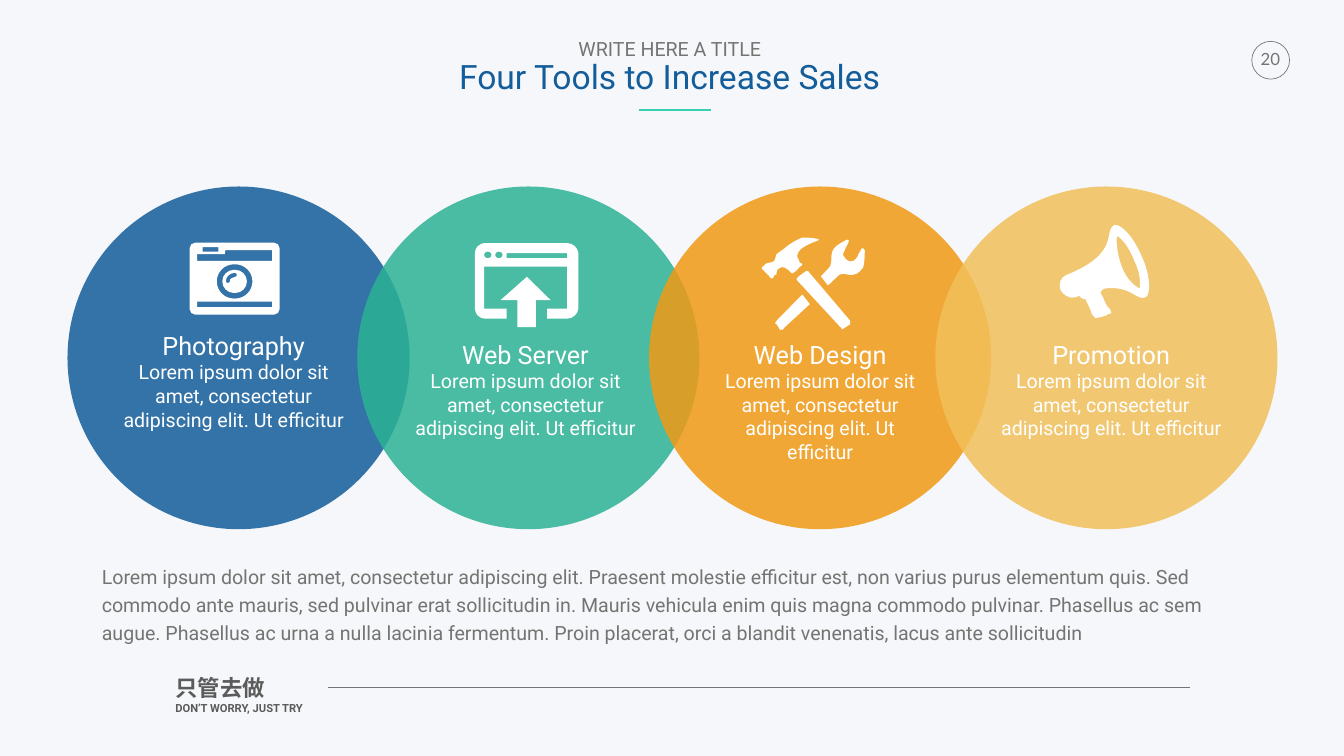
from lxml.etree import SubElement
from pptx import Presentation
from pptx.dml.color import RGBColor
from pptx.enum.shapes import MSO_CONNECTOR, MSO_SHAPE
from pptx.enum.text import MSO_AUTO_SIZE, PP_ALIGN
from pptx.oxml.ns import qn
from pptx.util import Inches, Pt

C = {"bg": "F6F7FA", "grey": "737572", "dark": "5B5B5B", "white": "FFFFFF", "mint": "33D1AD",
     "blue": "135D9A", "green": "2BB294", "orange": "F19A14", "yellow": "F1C05A"}
W, H = Inches(26.67), Inches(15)
PAGE = (0, 0, W, H)
FINE = 10
BLURB = "Lorem ipsum dolor sit amet, consectetur adipiscing elit. Ut efficitur"
BODY = ("Lorem ipsum dolor sit amet, consectetur adipiscing elit. Praesent molestie efficitur est, "
        "non varius purus elementum quis. Sed commodo ante mauris, sed pulvinar erat sollicitudin in. "
        "Mauris vehicula enim quis magna commodo pulvinar. Phasellus ac sem augue. Phasellus ac urna a "
        "nulla lacinia fermentum. Proin placerat, orci a blandit venenatis, lacus ante sollicitudin")


def part(box, x, y, w, h):
    """Return the part of a box given in percent of its size."""
    left, top, width, height = box
    return (round(left + width * x / 100), round(top + height * y / 100),
            round(width * w / 100), round(height * h / 100))


def rgb(name):
    """Return a palette colour."""
    return RGBColor.from_string(C[name])


def rounded(l, t, r, b, rad=0):
    """Return the outline of a rectangle with rounded corners."""
    if not rad:
        return [(l, t), (r, t), (r, b), (l, b)]
    k = rad * 0.45
    return [(l + rad, t), (r - rad, t), (r - k, t, r, t + k, r, t + rad),
            (r, b - rad), (r, b - k, r - k, b, r - rad, b),
            (l + rad, b), (l + k, b, l, b - k, l, b - rad),
            (l, t + rad), (l, t + k, l + k, t, l + rad, t)]


CAMERA = (179, [
    rounded(0, 0, 179, 143, 11),
    [(164, 15), (71, 15), (70, 23), (15, 23), (15, 36), (164, 36)],
    rounded(15, 117, 164, 128), rounded(26, 9, 57, 18),
    rounded(54, 43, 125, 111, 34), rounded(65, 54, 114, 100, 23),
    [(80, 77), (80, 74, 81, 72, 83, 71), (85, 69, 87, 68, 90, 68), (92, 68, 94, 67, 94, 64),
     (94, 61, 92, 60, 90, 60), (85, 60, 81, 62, 77, 65), (74, 68, 72, 72, 72, 77),
     (72, 81, 80, 81, 80, 77)]])
SERVER = (205, [
    [(183, 0), (22, 0), (7, 0, 0, 10, 0, 20), (0, 130), (0, 140, 7, 150, 22, 150), (63, 150),
     (63, 130), (18, 130), (18, 47), (183, 47), (183, 130), (143, 130), (143, 150), (183, 150),
     (194, 150, 205, 140, 205, 130), (205, 20), (205, 10, 194, 0, 183, 0)],
    rounded(18, 17, 33, 30, 6.5), rounded(40, 17, 55, 30, 6.5), rounded(63, 20, 183, 30),
    [(103, 67), (51, 113), (84, 113), (84, 167), (121, 167), (121, 113), (150, 113)]])
TOOLS = (205, [
    [(33, 62), (40, 55, 48, 59, 58, 70), (62, 73, 62, 70, 62, 70), (66, 70, 76, 55, 80, 55),
     (80, 52), (76, 52, 73, 48, 73, 44), (55, 19, 124, 4, 113, 4), (106, 0, 84, 0, 80, 0),
     (69, 4, 51, 15, 44, 22), (33, 30, 29, 33, 29, 33), (25, 37, 29, 44, 22, 48),
     (15, 52, 11, 48, 7, 52), (7, 55, 4, 55, 0, 59), (0, 62), (15, 77),
     (15, 81, 18, 81, 22, 81), (22, 77, 25, 73, 29, 73), (29, 73, 29, 62, 33, 62)],
    [(91, 66), (88, 66), (73, 77), (69, 81, 69, 81, 69, 84), (157, 179),
     (157, 183, 161, 183, 164, 179), (175, 172), (175, 168, 175, 165, 175, 165)],
    [(204, 26), (201, 19, 201, 22, 197, 22), (197, 26, 190, 33, 190, 37),
     (186, 44, 179, 52, 168, 44), (157, 33, 161, 30, 164, 26), (164, 22, 172, 12, 172, 8),
     (175, 8, 172, 4, 168, 4), (164, 8, 142, 15, 139, 30), (135, 40, 142, 52, 131, 62),
     (117, 77), (131, 95), (150, 77), (153, 73, 161, 70, 168, 73),
     (186, 77, 193, 70, 201, 59), (204, 48, 204, 30, 204, 26)],
    [(29, 165), (25, 168, 25, 172, 29, 172), (36, 183), (40, 183, 44, 183, 44, 179),
     (95, 132), (80, 113)]])
HORN = (177, [
    [(163, 62), (148, 26, 123, -4, 108, 0), (86, 11, 123, 55, 13, 99), (2, 103, -2, 117, 2, 128),
     (5, 136, 20, 147, 31, 143), (39, 140), (46, 150, 53, 143, 53, 150),
     (57, 158, 64, 172, 64, 176), (68, 180, 72, 187, 75, 183), (79, 183, 93, 180, 97, 176),
     (104, 176, 104, 172, 101, 169), (101, 165, 93, 161, 93, 158), (90, 154, 86, 140, 82, 136),
     (79, 132, 86, 125, 93, 125), (145, 121, 152, 150, 170, 143), (181, 140, 181, 99, 163, 62)],
    [(159, 125), (155, 125, 133, 110, 123, 81), (112, 51, 112, 22, 115, 22),
     (119, 22, 137, 40, 148, 70), (163, 99, 159, 121, 159, 125)]])
TOOL_CARDS = [
    (5.02, "blue", "Photography", (12.25, 40, 72.6, 33.5), CAMERA, (35.7, 16.4, 26.3, 21)),
    (26.58, "green", "Web Server", (12.85, 42.6, 72.6, 33.5), SERVER, (34.4, 16.5, 30.2, 24.6)),
    (48.29, "orange", "Web Design", (16.05, 42.6, 67.9, 33.5), TOOLS, (33, 14.9, 30.2, 26.9)),
    (69.59, "yellow", "Promotion", (15.1, 42.6, 72.6, 33.5), HORN, (36.3, 11.3, 26.1, 27.2))]


def text(s, box, lines, inset, align=PP_ALIGN.LEFT, spacing=None, wrap=True):
    """Add a text box with one paragraph for each (text, size, colour, font, bold)."""
    tf = s.shapes.add_textbox(*box).text_frame
    tf.word_wrap = wrap
    tf.auto_size = MSO_AUTO_SIZE.SHAPE_TO_FIT_TEXT
    tf.margin_left = tf.margin_right = tf.margin_top = tf.margin_bottom = Inches(inset)
    for i, (words, size, colour, font, bold) in enumerate(lines):
        p = tf.add_paragraph() if i else tf.paragraphs[0]
        p.alignment, p.line_spacing = align, spacing
        r = p.add_run()
        r.text = words
        r.font.size, r.font.name, r.font.bold = Pt(size), font, bold
        r.font.color.rgb = rgb(colour)


def rule(s, box, colour, width):
    """Add a horizontal line along the top of a box."""
    x, y, w, _ = box
    ln = s.shapes.add_connector(MSO_CONNECTOR.STRAIGHT, x, y, x + w, y)
    ln.line.color.rgb, ln.line.width = rgb(colour), Pt(width)
    SubElement(ln._element.spPr, qn("a:effectLst"))


def disc(s, box, colour):
    """Add a translucent circle."""
    sp = s.shapes.add_shape(MSO_SHAPE.OVAL, *box)
    sp.shadow.inherit = False
    sp.line.fill.background()
    sp.fill.solid()
    sp.fill.fore_color.rgb = rgb(colour)
    SubElement(sp._element.spPr.find(".//" + qn("a:srgbClr")), qn("a:alpha")).set("val", "85000")


def bend(sp, contours):
    """Turn the straight segments of a freeform into curves where six numbers are given."""
    steps = [step for contour in contours for step in contour]
    nodes = [n for n in sp._element.spPr.find(".//" + qn("a:path")) if n.tag != qn("a:close")]
    start = nodes[0][0]
    dx, dy = (int(start.get(k)) - v * FINE for k, v in zip("xy", steps[0]))
    for node, step in zip(nodes, steps):
        if len(step) == 6:
            curve = SubElement(node.getparent(), qn("a:cubicBezTo"))
            for x, y in (step[:2], step[2:4], step[4:]):
                pt = SubElement(curve, qn("a:pt"))
                pt.set("x", str(round(x * FINE + dx)))
                pt.set("y", str(round(y * FINE + dy)))
            node.getparent().replace(node, curve)


def icon(s, box, drawing):
    """Draw the contours of a white icon across a box."""
    columns, contours = drawing
    fb = None
    for contour in contours:
        pts = [(step[-2] * FINE, step[-1] * FINE) for step in contour]
        if fb is None:
            fb = s.shapes.build_freeform(*pts[0], scale=box[2] / columns / FINE)
        else:
            fb.move_to(*pts[0])
        fb.add_line_segments(pts[1:], close=True)
    sp = fb.convert_to_shape(box[0], box[1])
    bend(sp, contours)
    sp.shadow.inherit = False
    sp.fill.solid()
    sp.fill.fore_color.rgb = rgb("white")
    sp.line.fill.background()


def header(s, box):
    """Place the kicker, the title and its accent line."""
    text(s, part(box, 33.8, 4.93, 32.06, 8.87),
         [("WRITE HERE A TITLE", 28, "grey", "Roboto", False),
          ("Four Tools to Increase Sales", 48, "blue", "Roboto", False)],
         0.05, PP_ALIGN.CENTER, 0.9, False)
    rule(s, part(box, 47.51, 14.53, 5.4, 0), "mint", 3)


def frame(s, box):
    """Place the page number and the footer."""
    sp = s.shapes.add_shape(MSO_SHAPE.OVAL, *part(box, 93.14, 5.47, 2.81, 5))
    sp.shadow.inherit = False
    sp.fill.background()
    sp.line.color.rgb, sp.line.width = rgb("grey"), Pt(1)
    text(s, part(box, 12.86, 88.87, 14.96, 6.6),
         [("只管去做", 32, "dark", "Roboto", True),
          ("DON’T WORRY, JUST TRY", 16, "dark", "Roboto", True)], 0.05)
    rule(s, part(box, 24.43, 90.93, 64.15, 0), "grey", 0.25)
    text(s, part(box, 93.27, 5.75, 2.5, 4), [("20", 24, "grey", "Lato", False)],
         0.1, PP_ALIGN.CENTER, wrap=False)


def tools(s, box):
    """Place the row of overlapping circles with their captions and icons."""
    cards = [(part(box, x, 24.67, 25.46, 45.33), *rest) for x, *rest in TOOL_CARDS]
    for circle, colour, *_ in cards:
        disc(s, circle, colour)
    for circle, _, name, caption, drawing, place in cards:
        text(s, part(circle, *caption), [(name, 36, "white", "Roboto", False),
                                         (BLURB, 28, "white", "Roboto", False)],
             0.13, PP_ALIGN.CENTER)
        icon(s, part(circle, *place), drawing)


def main():
    """Build and save the slide."""
    prs = Presentation()
    prs.slide_width, prs.slide_height = W, H
    s = prs.slides.add_slide(prs.slide_layouts[6])
    s.background.fill.solid()
    s.background.fill.fore_color.rgb = rgb("bg")
    frame(s, PAGE)
    tools(s, PAGE)
    text(s, part(PAGE, 7.09, 73.2, 85.86, 12.47), [(BODY, 28, "grey", "Roboto", False)],
         0.13, spacing=1.2)
    header(s, PAGE)
    prs.save("out.pptx")


if __name__ == "__main__":
    main()
